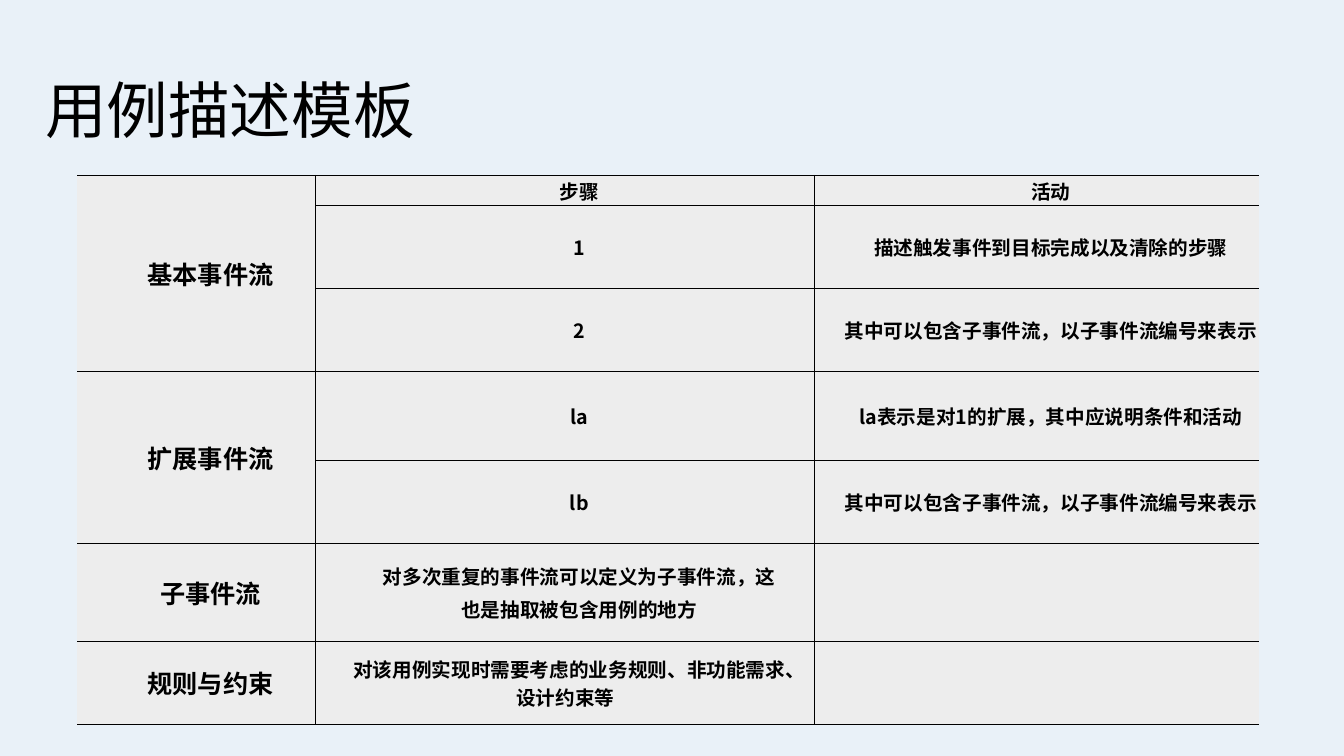
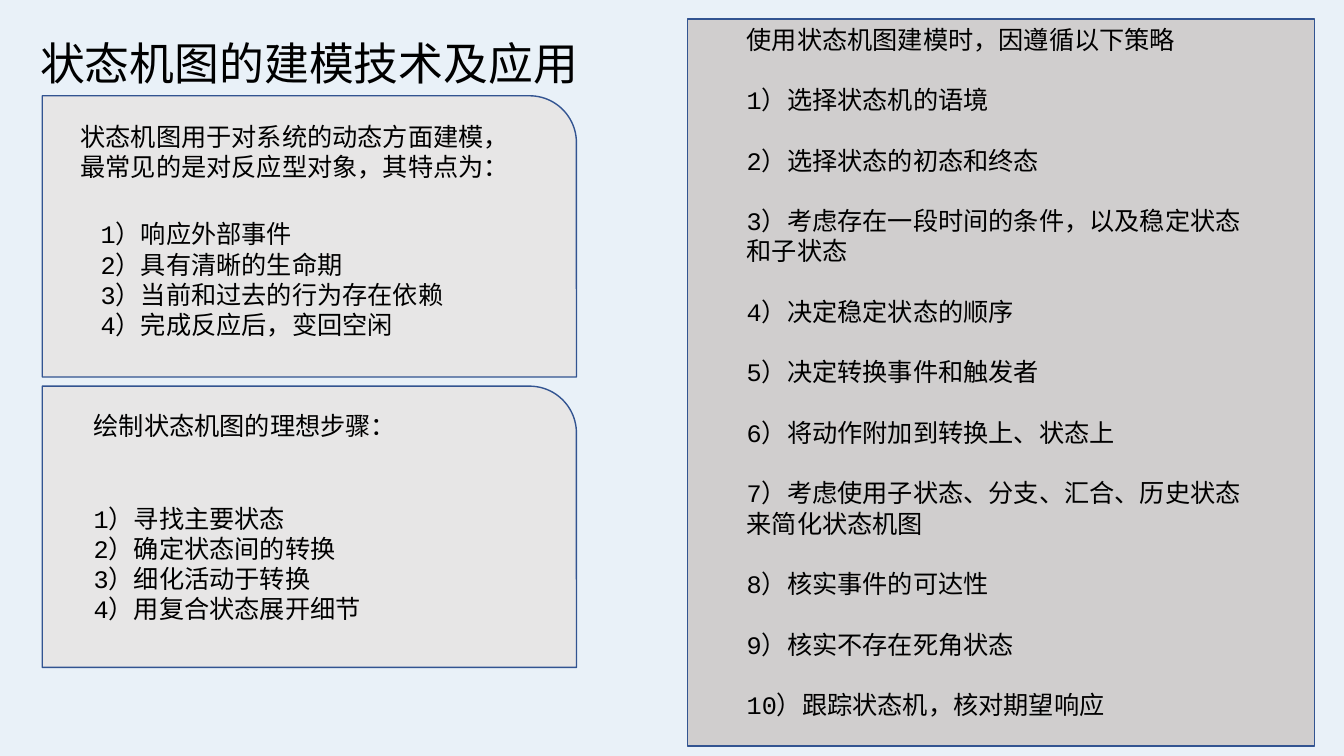
from lxml.etree import SubElement
from pptx import Presentation
from pptx.dml.color import RGBColor
from pptx.enum.shapes import MSO_SHAPE as Shape
from pptx.enum.text import MSO_ANCHOR as Anchor, PP_ALIGN as Align
from pptx.oxml import parse_xml
from pptx.oxml.ns import nsdecls, qn
from pptx.util import Pt

SKY = RGBColor(0xE9, 0xF1, 0xF8)
BLACK = RGBColor(0, 0, 0)
CELL = RGBColor(0xED, 0xED, 0xED)
PALE = RGBColor(0xE7, 0xE6, 0xE6)
GREY = RGBColor(0xD0, 0xCE, 0xCE)
BLUE = RGBColor(0x32, 0x54, 0x91)
SANS = "Noto Sans CJK SC"
MONO = "Courier New"
PLAIN = "{2D5ABB26-0587-4C30-8999-92F81FD0307C}"


def write(frame, lines, size, face, bold=False):
    frame.word_wrap = True
    for i, line in enumerate(lines):
        para = frame.paragraphs[0] if i == 0 else frame.add_paragraph()
        para.text = line
        font = para.font
        font.size, font.bold, font.name = Pt(size), bold, face
        font.color.rgb = BLACK
        SubElement(para._p.pPr.find(qn("a:defRPr")), qn("a:ea"), typeface=SANS)
    return frame.paragraphs


def add_text(slide, area, lines, size=18, face=MONO):
    box = slide.shapes.add_textbox(*map(Pt, area))
    return box.text_frame, write(box.text_frame, lines, size, face)


deck = Presentation()
deck.slide_width, deck.slide_height = Pt(960), Pt(540)

slides = []
for title, area, size in [
    ("用例描述模板", (25.2, 28.8, 308, 104.4), 44),
    ("状态机图的建模技术及应用", (21.6, 11.5, 400, 71.3), 32),
]:
    slide = deck.slides.add_slide(deck.slide_layouts[6])
    slide.background.fill.solid()
    slide.background.fill.fore_color.rgb = SKY
    frame, paras = add_text(slide, area, [title], size, SANS)
    frame.vertical_anchor = Anchor.MIDDLE
    paras[0].line_spacing = 0.9
    slides.append(slide)
form, guide = slides

ROWS = [
    (21.6, "基本事件流", ["步骤"], "活动"),
    (59.2, "", ["1"], "描述触发事件到目标完成以及清除的步骤"),
    (59.2, "", ["2"], "其中可以包含子事件流，以子事件流编号来表示"),
    (63.5, "扩展事件流", ["la"], "la表示是对1的扩展，其中应说明条件和活动"),
    (59.2, "", ["lb"], "其中可以包含子事件流，以子事件流编号来表示"),
    (70.2, "子事件流", ["对多次重复的事件流可以定义为子事件流，这", "也是抽取被包含用例的地方"], ""),
    (59.2, "规则与约束", ["对该用例实现时需要考虑的业务规则、非功能需求、设计约束等"], ""),
]
WIDTHS = [170.4, 356.4, 317.4]
SIDES = [("lnR", "lnT", "lnB"), ("lnL", "lnR", "lnT", "lnB"), ("lnL", "lnT", "lnB")]

frame = form.shapes.add_table(len(ROWS), 3, Pt(55.2), Pt(125.3), Pt(844.2), Pt(392.1))
next(frame._element.iter(qn("a:tableStyleId"))).text = PLAIN
table = frame.table
for col, width in zip(table.columns, WIDTHS):
    col.width = Pt(width)
for r, (height, head, step, act) in enumerate(ROWS):
    table.rows[r].height = Pt(height)
    for c, lines in enumerate(([head], step, [act])):
        cell = table.cell(r, c)
        cell.vertical_anchor = Anchor.MIDDLE
        cell.margin_left = cell.margin_right = Pt(0.72)
        cell.margin_top = cell.margin_bottom = 0
        if lines[0]:
            paras = write(cell.text_frame, lines, 14 if c else 18, SANS, True)
            for para in paras:
                para.alignment = Align.CENTER
                para._p.pPr.set("indent", str(Pt(20)))
            for para in paras[:-1]:
                para.space_after = Pt(3)
        cell.fill.solid()
        cell.fill.fore_color.rgb = CELL
        for i, side in enumerate(SIDES[c]):
            rule = parse_xml(
                f'<a:{side} {nsdecls("a")} w="{Pt(1)}"><a:solidFill>'
                f'<a:srgbClr val="{BLACK}"/></a:solidFill></a:{side}>'
            )
            cell._tc.tcPr.insert(i, rule)
for top, end in [(0, 2), (3, 4)]:
    head = table.cell(top, 0)
    head.merge(table.cell(end, 0))
    head.margin_left = head.margin_right = Pt(7.2)
    head.margin_top = head.margin_bottom = Pt(3.6)

for kind, area, fill in [
    (Shape.ROUND_1_RECTANGLE, (30.2, 68.4, 381.6, 200.9), PALE),
    (Shape.ROUND_1_RECTANGLE, (30.2, 275.8, 381.6, 200.9), PALE),
    (Shape.RECTANGLE, (491, 13.7, 447.8, 519.1), GREY),
]:
    panel = guide.shapes.add_shape(kind, *map(Pt, area))
    panel.shadow.inherit = False
    panel.fill.solid()
    panel.fill.fore_color.rgb = fill
    panel.line.color.rgb = BLUE
    panel.line.width = Pt(1)

TRAITS = ["响应外部事件", "具有清晰的生命期", "当前和过去的行为存在依赖", "完成反应后，变回空闲"]
STEPS = ["寻找主要状态", "确定状态间的转换", "细化活动于转换", "用复合状态展开细节"]
RULES = [
    "选择状态机的语境",
    "选择状态的初态和终态",
    "考虑存在一段时间的条件，以及稳定状态和子状态",
    "决定稳定状态的顺序",
    "决定转换事件和触发者",
    "将动作附加到转换上、状态上",
    "考虑使用子状态、分支、汇合、历史状态来简化状态机图",
    "核实事件的可达性",
    "核实不存在死角状态",
    "跟踪状态机，核对期望响应",
]
for area, line in [
    ((50.4, 82.8, 304.6, 51), "状态机图用于对系统的动态方面建模，最常见的是对反应型对象，其特点为："),
    ((526.3, 13.7, 331.2, 29), "使用状态机图建模时，因遵循以下策略"),
    ((59.8, 289.4, 296, 29), "绘制状态机图的理想步骤："),
]:
    add_text(guide, area, [line])
for area, items, gap in [
    ((64.8, 152.6, 277.2, 94.3), TRAITS, 0),
    ((526.3, 56.9, 383.8, 465), RULES, 21.6),
    ((59.8, 355.7, 311, 94.3), STEPS, 0),
]:
    lines = [f"{n}）{item}" for n, item in enumerate(items, 1)]
    for para in add_text(guide, area, lines)[1][1:]:
        para.space_before = Pt(gap)

deck.save("out.pptx")
